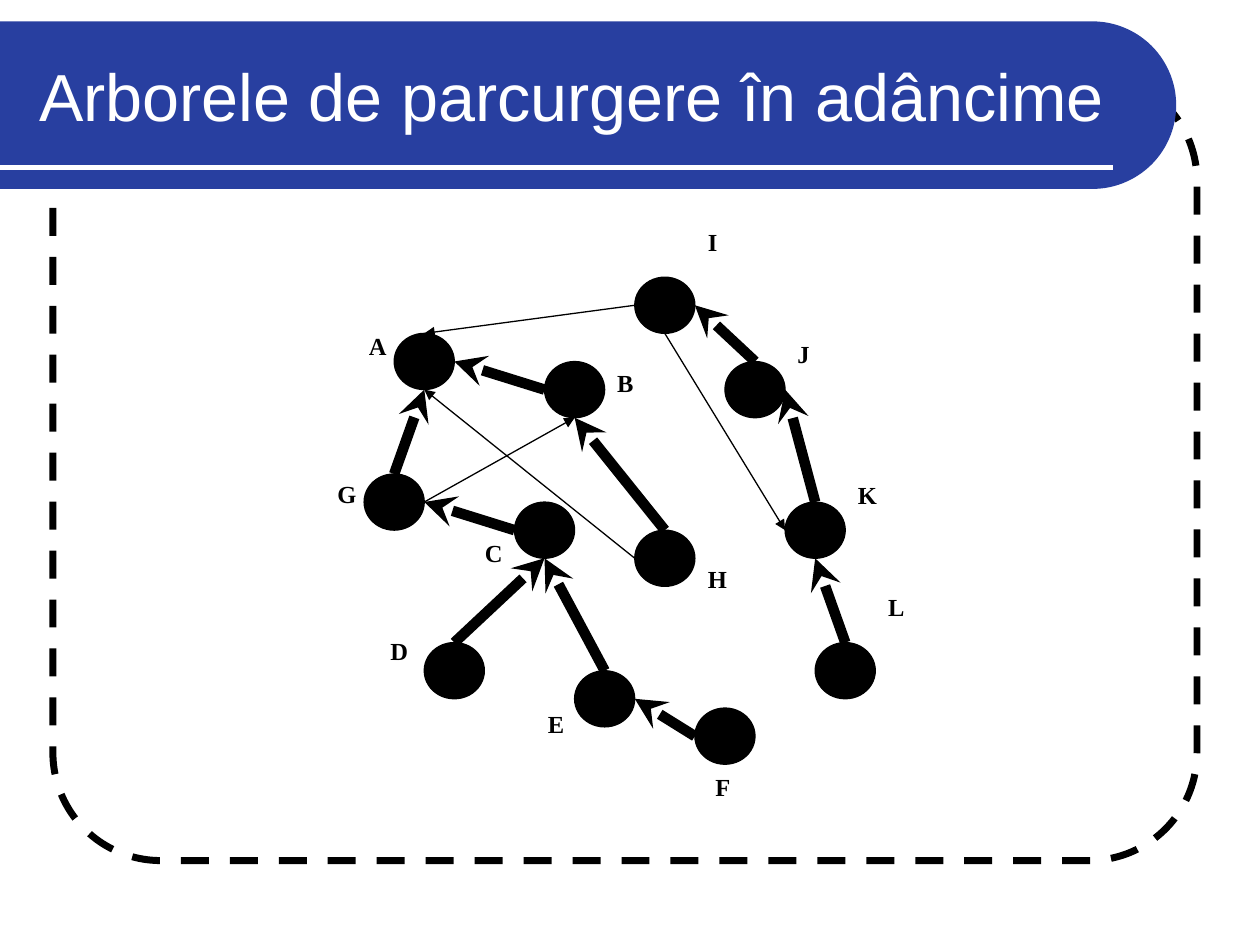
from math import cos, pi, sin
from lxml.etree import SubElement
from pptx import Presentation
from pptx.dml.color import RGBColor
from pptx.enum.dml import MSO_LINE
from pptx.enum.shapes import MSO_CONNECTOR, MSO_SHAPE
from pptx.enum.text import MSO_ANCHOR, MSO_AUTO_SIZE, PP_ALIGN
from pptx.oxml.ns import qn
from pptx.util import Inches, Pt

TITLE = "Arborele de parcurgere în adâncime"
HEX = {"ink": "000000", "blue": "283FA0", "white": "FFFFFF"}
RGB = {name: RGBColor.from_string(code) for name, code in HEX.items()}

# Node: grid column and row, then left and top of its label in inches
NODES = {
    "A": (1, 2, 2.83, 2.58), "G": (0, 7, 2.58, 3.75),
    "B": (6, 3, 4.8, 2.87), "I": (9, 0, 5.52, 1.75),
    "C": (5, 8, 3.75, 4.22), "H": (9, 9, 5.52, 4.43),
    "J": (12, 3, 6.23, 2.64), "E": (7, 14, 4.25, 5.58),
    "K": (14, 8, 6.71, 3.76), "F": (11, 15.33, 5.58, 6.08),
    "L": (15, 13, 6.95, 4.65), "D": (2, 13, 3, 5),
}

# Edge: node and side at each end, and whether it belongs to the tree
EDGES = [
    ("A right", "B left", True), ("A bottom", "G top", True),
    ("I left", "A top", False), ("G right", "C left", True),
    ("G right", "B bottom", False), ("B bottom", "H top", True),
    ("H left", "A bottom", False), ("I right", "J top", True),
    ("I bottom", "K left", False), ("J right", "K top", True),
    ("C bottom", "E top", True), ("C bottom", "D top", True),
    ("E right", "F left", True), ("K bottom", "L top", True),
]

# Grid: a node spans two columns and two rows
LEFT, TOP = 2.89, 2.2
COL, ROW = 3.58 / 15, 2.9 / 13
SIDES = {"top": (1, 0), "left": (0, 1), "bottom": (1, 2), "right": (2, 1)}

TREE = {"width": 6, "end": "headEnd", "type": "stealth"}
BACK = {"width": 0.75, "end": "tailEnd", "type": "triangle"}

deck = Presentation()
deck.slide_width, deck.slide_height = Inches(10), Inches(7.5)
slide = deck.slides.add_slide(deck.slide_layouts[5])
shapes = slide.shapes


def spot(col, row):
    return LEFT + col * COL, TOP + row * ROW


def port(end):
    name, side = end.split()
    col, row = NODES[name][:2]
    across, down = SIDES[side]
    return spot(col + across, row + down)


def link(start, stop, tone, width):
    line = shapes.add_connector(MSO_CONNECTOR.STRAIGHT,
                                *map(Inches, (*start, *stop)))
    line.line.color.rgb = RGB[tone]
    line.line.width = Pt(width)
    SubElement(line._element.spPr, qn("a:effectLst"))
    return line


def write(frame, text, form):
    frame.word_wrap = True
    frame.auto_size = MSO_AUTO_SIZE.NONE
    para = frame.paragraphs[0]
    para.alignment = PP_ALIGN.LEFT
    run = para.add_run()
    run.text = text
    for key, value in form.items():
        setattr(run.font, key, value)
    run.font.color.rgb = RGB["white" if frame is banner_text else "ink"]


# Dashed frame
panel = shapes.add_shape(MSO_SHAPE.ROUNDED_RECTANGLE,
                         *map(Inches, (0.42, 0.58, 9.08, 6.25)))
panel.adjustments[0] = 0.137
panel.shadow.inherit = False
panel.fill.background()
panel.line.color.rgb = RGB["ink"]
panel.line.width = Pt(4)
panel.line.dash_style = MSO_LINE.DASH

# Banner with a round right end
high, low, bend = 0.17, 1.5, 8.67
rad, steps = (low - high) / 2, 60
arc = [(bend + rad * sin(pi * n / steps),
        high + rad - rad * cos(pi * n / steps)) for n in range(steps + 1)]
pen = shapes.build_freeform(0, Inches(high))
pen.add_line_segments([(Inches(x), Inches(y)) for x, y in arc + [(0, low)]])
banner = pen.convert_to_shape()
banner.shadow.inherit = False
banner.fill.solid()
banner.fill.fore_color.rgb = RGB["blue"]
banner.line.fill.background()
link((0, 1.33), (8.83, 1.33), "white", 3)

# Title, raised above the banner
title = shapes.title
title.left, title.top, title.width, title.height = map(
    Inches, (0.21, 0.25, 8.77, 1))
banner_text = title.text_frame
banner_text.vertical_anchor = MSO_ANCHOR.MIDDLE
write(banner_text, TITLE, {"name": "Arial", "size": Pt(38)})
banner._element.getparent().append(title._element)

# Nodes
for col, row, *_ in NODES.values():
    node = shapes.add_shape(MSO_SHAPE.OVAL, *map(
        Inches, (*spot(col, row), 2 * COL, 2 * ROW)))
    node.shadow.inherit = False
    node.fill.solid()
    node.fill.fore_color.rgb = RGB["ink"]
    node.line.color.rgb = RGB["ink"]
    node.line.width = Pt(0.75)

# Edges
for start, stop, tree in EDGES:
    kind = TREE if tree else BACK
    edge = link(port(start), port(stop), "ink", kind["width"])
    stroke = edge._element.spPr.find(qn("a:ln"))
    SubElement(stroke, qn("a:" + kind["end"]), type=kind["type"])

# Labels
LABEL = {"name": "Times New Roman", "size": Pt(14), "bold": True}
for name, (_, _, x, y) in NODES.items():
    box = shapes.add_textbox(*map(Inches, (x, y, 3 * COL, 2 * ROW)))
    write(box.text_frame, name, LABEL)

deck.save("out.pptx")
